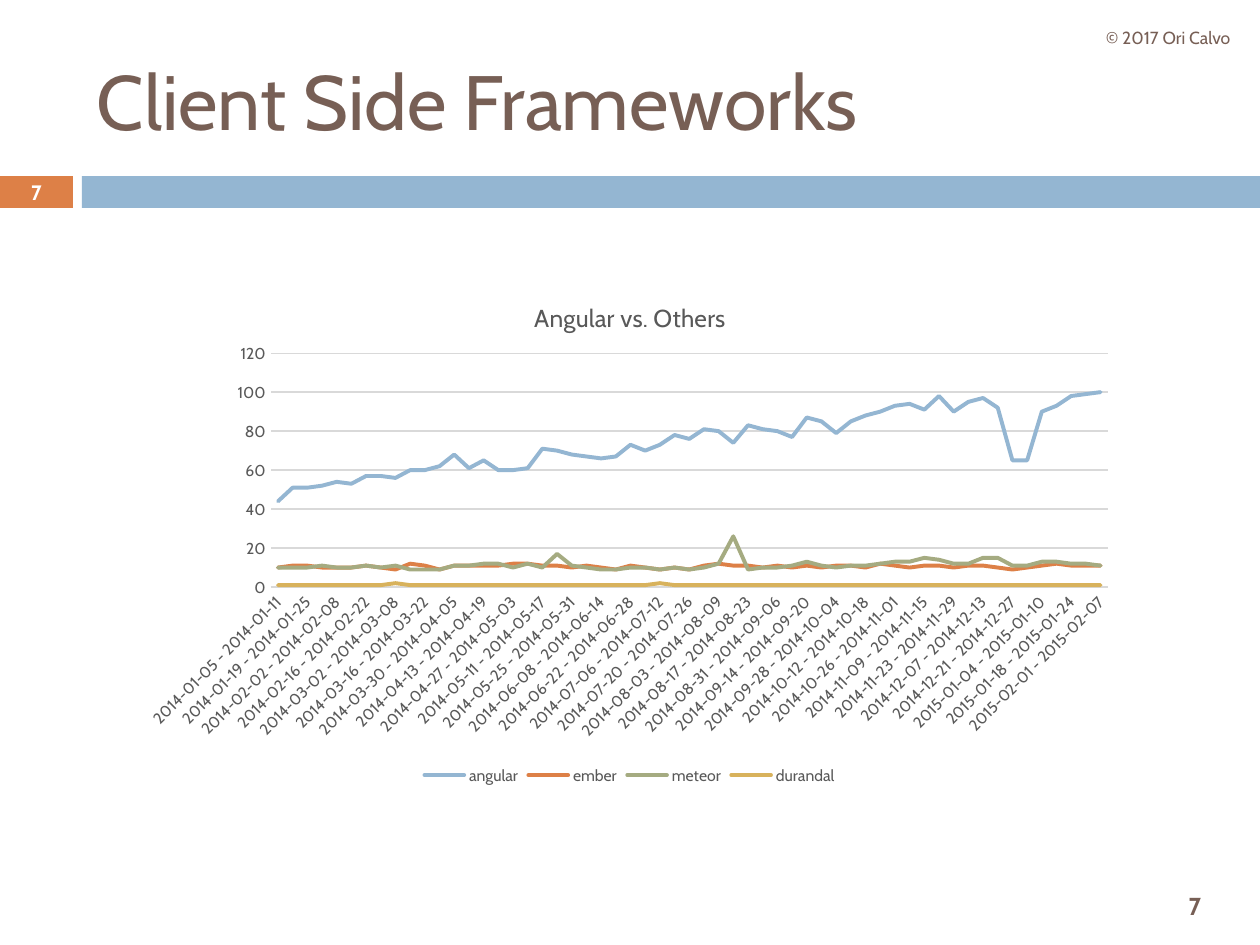
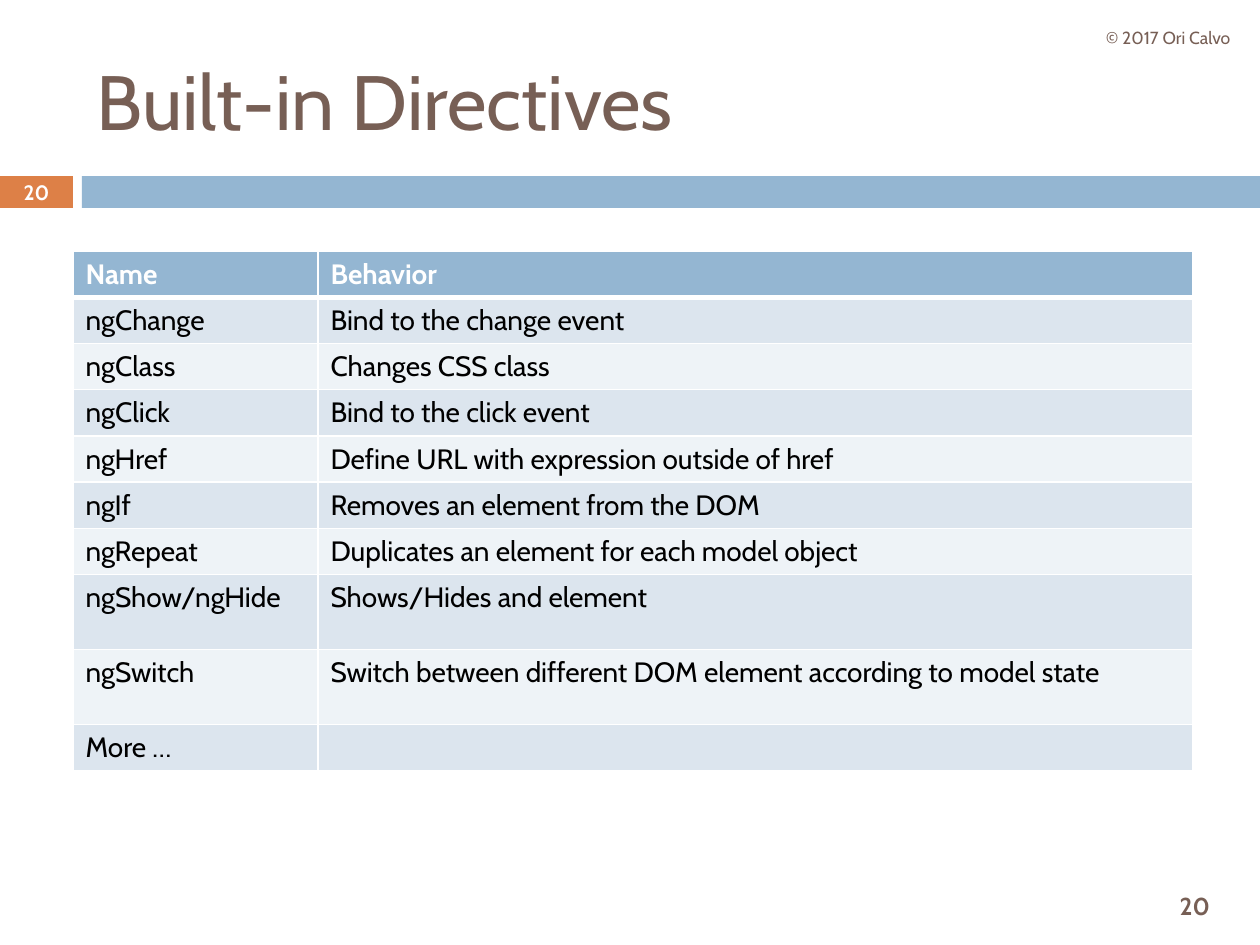
from lxml import etree
from pptx import Presentation
from pptx.chart.data import CategoryChartData
from pptx.dml.color import RGBColor
from pptx.enum.chart import XL_CHART_TYPE, XL_LEGEND_POSITION, XL_TICK_MARK
from pptx.enum.shapes import MSO_SHAPE
from pptx.enum.text import MSO_ANCHOR, MSO_AUTO_SIZE, PP_ALIGN
from pptx.oxml import parse_xml
from pptx.oxml.ns import nsdecls, qn
from pptx.util import Pt

# Shared look
FONT = "Cabin"
BROWN = RGBColor(0x77, 0x5F, 0x55)
ORANGE = RGBColor(0xDD, 0x80, 0x47)
BLUE = RGBColor(0x94, 0xB6, 0xD2)
GREEN = RGBColor(0xA5, 0xAB, 0x81)
GOLD = RGBColor(0xD8, 0xB2, 0x5C)
WHITE = RGBColor(0xFF, 0xFF, 0xFF)
BLACK = RGBColor(0, 0, 0)
GRAY = RGBColor(0x59, 0x59, 0x59)
GRID = RGBColor(0xD9, 0xD9, 0xD9)
ROW_DARK = RGBColor(0xDC, 0xE5, 0xEE)
ROW_LIGHT = RGBColor(0xEE, 0xF3, 0xF7)

LEFT, CENTER = PP_ALIGN.LEFT, PP_ALIGN.CENTER
MIDDLE = MSO_ANCHOR.MIDDLE
NO_FIT = MSO_AUTO_SIZE.NONE
RECTANGLE = MSO_SHAPE.RECTANGLE
LINE_CHART = XL_CHART_TYPE.LINE
LEGEND_BOTTOM = XL_LEGEND_POSITION.BOTTOM
NO_TICKS = XL_TICK_MARK.NONE

EMU_PER_INCH = 914400
PX_PER_INCH = 126
TITLE_ONLY_LAYOUT = 5

# Chart content: weekly search interest
MONTH_DAYS = (31, 28, 31, 30, 31, 30, 31, 31, 30, 31, 30, 31)
FIRST_SUNDAY = 4  # days after 2014-01-01
FRAMEWORKS = {
    "angular": (BLUE, [
        44, 51, 51, 52, 54, 53, 57, 57, 56, 60, 60, 62, 68, 61, 65, 60, 60, 61, 71,
        70, 68, 67, 66, 67, 73, 70, 73, 78, 76, 81, 80, 74, 83, 81, 80, 77, 87, 85,
        79, 85, 88, 90, 93, 94, 91, 98, 90, 95, 97, 92, 65, 65, 90, 93, 98, 99, 100]),
    "ember": (ORANGE, [
        10, 11, 11, 10, 10, 10, 11, 10, 9, 12, 11, 9, 11, 11, 11, 11, 12, 12, 11,
        11, 10, 11, 10, 9, 11, 10, 9, 10, 9, 11, 12, 11, 11, 10, 11, 10, 11, 10,
        11, 11, 10, 12, 11, 10, 11, 11, 10, 11, 11, 10, 9, 10, 11, 12, 11, 11, 11]),
    "meteor": (GREEN, [
        10, 10, 10, 11, 10, 10, 11, 10, 11, 9, 9, 9, 11, 11, 12, 12, 10, 12, 10,
        17, 11, 10, 9, 9, 10, 10, 9, 10, 9, 10, 12, 26, 9, 10, 10, 11, 13, 11,
        10, 11, 11, 12, 13, 13, 15, 14, 12, 12, 15, 15, 11, 11, 13, 13, 12, 12, 11]),
    "durandal": (GOLD, [1] * 8 + [2] + [1] * 17 + [2] + [1] * 30),
}
WEEK_COUNT = 57

# Table content
DIRECTIVES = [
    ("Name", "Behavior"),
    ("ngChange", "Bind to the change event"),
    ("ngClass", "Changes CSS class"),
    ("ngClick", "Bind to the click event"),
    ("ngHref", "Define URL with expression outside of href"),
    ("ngIf", "Removes an element from the DOM"),
    ("ngRepeat", "Duplicates an element for each model object"),
    ("ngShow/ngHide", "Shows/Hides and element"),
    ("ngSwitch", "Switch between different DOM element according to model state"),
    ("More …", ""),
]
COLUMN_WIDTHS = (245, 875)
ROW_HEIGHT, TALL_ROW_HEIGHT = 43, 75
TALL_ROWS = (7, 8)


def px(length):
    return round(length * EMU_PER_INCH / PX_PER_INCH)


def box(*lengths):
    return [px(length) for length in lengths]


def style_font(font, size, color, bold=False):
    font.name = FONT
    font.size = Pt(size)
    font.bold = bold
    font.color.rgb = color


def add_band(slide, bounds, color):
    band = slide.shapes.add_shape(RECTANGLE, *box(*bounds))
    band.shadow.inherit = False
    band.fill.solid()
    band.fill.fore_color.rgb = color
    band.line.fill.background()


def add_label(slide, bounds, text, size, color, bold=False):
    frame = slide.shapes.add_textbox(*box(*bounds)).text_frame
    frame.word_wrap = True
    frame.vertical_anchor = MIDDLE
    label = frame.paragraphs[0]
    label.text = text
    label.alignment = CENTER
    style_font(label.font, size, color, bold)


def set_title(slide, text):
    title = slide.shapes.title
    title.left, title.top, title.width, title.height = box(84, 32, 1124, 136)
    frame = title.text_frame
    frame.text = text
    frame.auto_size = NO_FIT
    frame.vertical_anchor = MIDDLE
    heading = frame.paragraphs[0]
    heading.alignment = LEFT
    style_font(heading.font, 44, BROWN)


def add_framed_slide(prs, title, number):
    """Add a slide with the shared bands, title, copyright and page numbers."""
    slide = prs.slides.add_slide(prs.slide_layouts[TITLE_ONLY_LAYOUT])
    add_band(slide, (0, 176, 73, 32), ORANGE)
    add_band(slide, (82, 176, 1178, 32), BLUE)
    set_title(slide, title)
    add_label(slide, (1076, 0, 184, 76), "© 2017 Ori Calvo", 10, BROWN)
    add_label(slide, (0, 175, 73, 34), number, 11.9, WHITE, bold=True)
    add_label(slide, (1137, 879, 116, 53), number, 14, BROWN, bold=True)
    return slide


def date_text(day):
    year, day = divmod(day, 365)
    month = 0
    while day >= MONTH_DAYS[month]:
        day -= MONTH_DAYS[month]
        month += 1
    return f"{2014 + year}-{month + 1:02}-{day + 1:02}"


def week_labels():
    sundays = (FIRST_SUNDAY + 7 * week for week in range(WEEK_COUNT))
    return [f"{date_text(day)} - {date_text(day + 6)}" for day in sundays]


def place_in_chart(element, **fractions):
    """Give a chart part a manual layout, in fractions of the chart area."""
    layout = element.find(qn("c:layout"))
    if layout is None:
        layout = parse_xml(f"<c:layout {nsdecls('c')}/>")
        before = element.find(qn("c:tx"))
        if before is None:
            element.insert(0, layout)
        else:
            before.addnext(layout)
    manual = etree.SubElement(layout, qn("c:manualLayout"))
    if "w" in fractions:
        etree.SubElement(manual, qn("c:layoutTarget"), val="inner")
    for axis in "xy":
        etree.SubElement(manual, qn(f"c:{axis}Mode"), val="edge")
    for key, value in fractions.items():
        etree.SubElement(manual, qn(f"c:{key}"), val=str(value))


def style_axes(chart):
    weeks, interest = chart.category_axis, chart.value_axis
    for axis in (weeks, interest):
        axis.major_tick_mark = axis.minor_tick_mark = NO_TICKS
        style_font(axis.tick_labels.font, 9, GRAY)
    weeks.format.line.color.rgb = GRID
    weeks.format.line.width = Pt(0.75)
    weeks_body = weeks._element.find(qn("c:txPr")).find(qn("a:bodyPr"))
    weeks_body.set("rot", "-2700000")
    interest.minimum_scale, interest.maximum_scale = 0, 120
    interest.major_unit = 20
    interest.format.line.fill.background()
    gridlines = interest.major_gridlines.format.line
    gridlines.color.rgb = GRID
    gridlines.width = Pt(0.75)


def add_trend_chart(slide):
    data = CategoryChartData()
    data.categories = week_labels()
    for name, (_, interest) in FRAMEWORKS.items():
        data.add_series(name, interest)
    chart = slide.shapes.add_chart(LINE_CHART, *box(131, 270, 997, 520), data).chart
    style_font(chart.font, 10, BLACK)

    # Title and legend
    chart.has_title = True
    heading = chart.chart_title.text_frame.paragraphs[0]
    heading.text = "Angular vs. Others"
    style_font(heading.font, 14, GRAY)
    place_in_chart(chart.chart_title._element, x=0.4, y=0.05)
    chart.has_legend = True
    chart.legend.position = LEGEND_BOTTOM
    chart.legend.include_in_layout = False
    style_font(chart.legend.font, 9, GRAY)

    # Axes and lines
    style_axes(chart)
    plot = chart.plots[0]
    plot.vary_by_categories = False
    place_in_chart(chart._chartSpace.chart.plotArea, x=0.14, y=0.16, w=0.84, h=0.45)
    for series, (color, _) in zip(plot.series, FRAMEWORKS.values()):
        series.smooth = False
        series.format.line.color.rgb = color
        series.format.line.width = Pt(2.25)
        series.format.line._ln.set("cap", "rnd")


def set_borders(cell, top, bottom):
    properties = cell._tc.get_or_add_tcPr()
    for side, width in (("L", 1), ("R", 1), ("T", top), ("B", bottom)):
        properties.append(parse_xml(
            f'<a:ln{side} {nsdecls("a")} w="{Pt(width)}"><a:solidFill>'
            f'<a:srgbClr val="{WHITE}"/></a:solidFill></a:ln{side}>'))


def fill_cell(cell, text, row):
    is_header = row == 0
    set_borders(cell, top=3 if row == 1 else 1, bottom=3 if is_header else 1)
    cell.fill.solid()
    cell.fill.fore_color.rgb = BLUE if is_header else (ROW_LIGHT, ROW_DARK)[row % 2]
    entry = cell.text_frame.paragraphs[0]
    entry.text = text
    style_font(entry.font, 16, WHITE if is_header else BLACK, is_header)
    if not text:
        entry._p.append(parse_xml(f'<a:endParaRPr {nsdecls("a")} sz="1600"/>'))


def add_directives_table(slide):
    heights = [TALL_ROW_HEIGHT if row in TALL_ROWS else ROW_HEIGHT
               for row in range(len(DIRECTIVES))]
    bounds = box(73, 251, sum(COLUMN_WIDTHS), sum(heights))
    table = slide.shapes.add_table(len(heights), len(COLUMN_WIDTHS), *bounds).table
    for column, width in zip(table.columns, COLUMN_WIDTHS):
        column.width = px(width)
    for row, (height, texts) in enumerate(zip(heights, DIRECTIVES)):
        table.rows[row].height = px(height)
        for column, text in enumerate(texts):
            fill_cell(table.cell(row, column), text, row)


def main():
    prs = Presentation()
    prs.slide_width, prs.slide_height = box(1260, 945)

    add_trend_chart(add_framed_slide(prs, "Client Side Frameworks", "7"))
    add_directives_table(add_framed_slide(prs, "Built-in Directives", "20"))

    prs.save("out.pptx")


if __name__ == "__main__":
    main()
